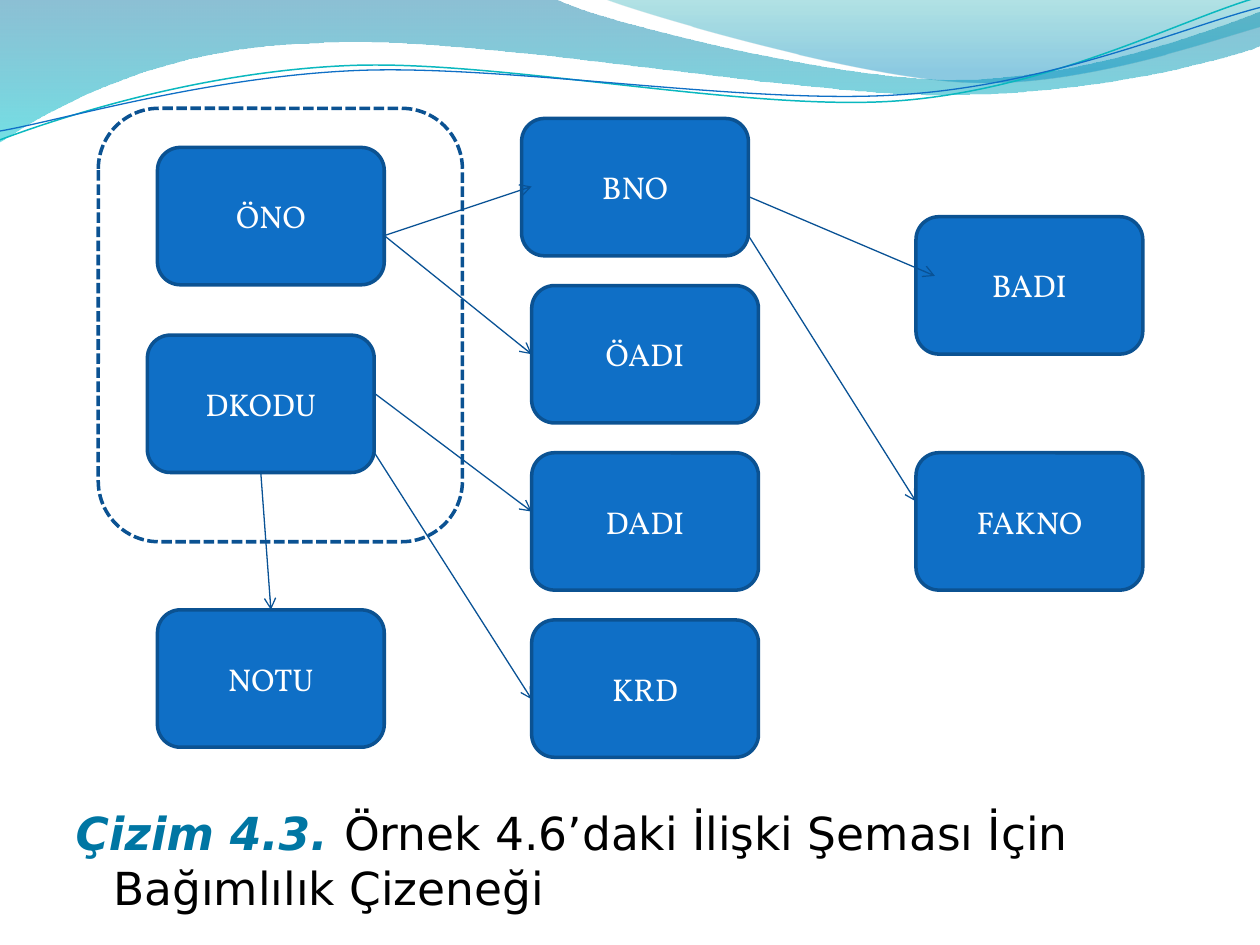
import math

import pptx
import pptx.dml.color
import pptx.enum.dml
import pptx.enum.shapes
import pptx.enum.text
import pptx.oxml
import pptx.oxml.ns
import pptx.util
from pptx.util import Inches

THEME = {
    "box": "0F6FC6", "border": "0B5292", "arrow": "095295", "box_text": "FFFFFF",
    "caption_label": "0076A3", "caption_text": "000000",
    "box_font": "Vollkorn", "caption_font": "DejaVu Sans",
    "box_size": 18, "caption_size": 26, "border_width": 2, "arrow_width": 0.75,
}

CAPTION_LABEL = "Çizim 4.3. "
CAPTION_TEXT = "Örnek 4.6’daki İlişki Şeması İçin Bağımlılık Çizeneği"
CAPTION_PLACE = (0.5, 6.34, 9, 1)

BOX_WIDTH, BOX_HEIGHT = 1.8, 1.09
LEFT_COLUMN, MIDDLE_COLUMN, RIGHT_COLUMN = 1.25, 4.22, 7.27
NUDGE = 0.08
MIDDLE_TOP = 0.94
MIDDLE_STEP = (4.92 - MIDDLE_TOP) / 3
DADI_TOP = MIDDLE_TOP + 2 * MIDDLE_STEP

ATTRIBUTES = {  # name: (left, top)
    "ÖNO": (LEFT_COLUMN, 1.17),
    "DKODU": (LEFT_COLUMN - NUDGE, 2.66),
    "KRD": (MIDDLE_COLUMN, MIDDLE_TOP + 3 * MIDDLE_STEP),
    "DADI": (MIDDLE_COLUMN, DADI_TOP),
    "ÖADI": (MIDDLE_COLUMN, MIDDLE_TOP + MIDDLE_STEP),
    "BNO": (MIDDLE_COLUMN - NUDGE, MIDDLE_TOP),
    "FAKNO": (RIGHT_COLUMN, DADI_TOP),
    "BADI": (RIGHT_COLUMN, 1.72),
    "NOTU": (LEFT_COLUMN, 4.84),
}
KEY_FRAME = (0.78, 0.86, 2.89, 3.44)

TOP, LEFT, BOTTOM = 0, 1, 2
# start point, end point, joined start and joined end as (attribute, side)
DEPENDENCIES = [
    ((3.05, 1.87), (4.22, 1.48), None, None),
    ((3.05, 1.87), (4.22, 2.81), None, ("ÖADI", LEFT)),
    ((2.97, 3.12), (4.22, 4.06), None, None),
    ((2.97, 3.59), (4.22, 5.55), None, None),
    ((2.07, 3.75), (2.15, 4.84), ("DKODU", BOTTOM), ("NOTU", TOP)),
    ((5.94, 1.56), (7.42, 2.19), None, None),
    ((5.94, 1.87), (7.27, 3.98), None, None),
]

# Each wave is a list of steps: one point is a straight line, three are a Bézier curve.
BANDS = [  # steps, gradient stops as (position, colour, opacity in percent)
    ([[(0, 0)], [(4.4, -0.01)],
      [(4.76, 0.17), (6.64, 0.63), (7.58, 0.63)],
      [(8.53, 0.63), (9.58, 0.26), (10, 0.09)], [(10.01, 0.36)],
      [(9.83, 0.44), (8.7, 0.76), (7.46, 0.75)],
      [(6.22, 0.75), (3.82, 0.28), (2.57, 0.34)],
      [(1.29, 0.36), (0.46, 0.83), (-0.01, 1.13)], [(0, 0)]],
     [(0, "0074A1", 45), (1, "00C6CF", 55)]),
    ([[(4.79, -0.01)],
      [(5.09, 0.11), (6.82, 0.62), (7.69, 0.65)],
      [(8.56, 0.69), (9.61, 0.32), (10, 0.21)], [(10, 0)], [(4.79, -0.01)]],
     [(0, "00A1A9", 30), (0.8, "008BBF", 45)]),
]
RIBBON_TILT = -2.7
RIBBONS = [  # steps, centre, colour, width
    ([[(0, 1.11)],
      [(0.48, 0.93), (1.58, 0.57), (2.77, 0.52)],
      [(3.95, 0.47), (5.93, 0.89), (7.13, 0.8)],
      [(8.33, 0.71), (9.38, 0.15), (9.98, -0.02)]], (4.99, 0.58), "0AB8BF", 0.85),
    ([[(0, 1.04)],
      [(0.47, 0.96), (1.64, 0.61), (2.83, 0.56)],
      [(4.03, 0.51), (5.97, 0.84), (7.17, 0.75)],
      [(8.36, 0.67), (9.41, 0.21), (10, 0.06)]], (5, 0.59), "0F6FC6", 0.75),
]


def rgb(colour):
    return pptx.dml.color.RGBColor.from_string(colour)


def new_xml(tag, **attributes):
    element = pptx.oxml.parse_xml(f"<{tag} {pptx.oxml.ns.nsdecls('a')}/>")
    for key, value in attributes.items():
        element.set(key, str(value))
    return element


def set_line(line, colour, width):
    line.color.rgb = rgb(colour)
    line.width = pptx.util.Pt(width)


def set_font(font, face, size, colour):
    font.name, font.size = face, pptx.util.Pt(size)
    font.color.rgb = rgb(colour)


def turn(point, centre, degrees):
    angle = math.radians(degrees)
    dx, dy = point[0] - centre[0], point[1] - centre[1]
    return (centre[0] + dx * math.cos(angle) - dy * math.sin(angle),
            centre[1] + dx * math.sin(angle) + dy * math.cos(angle))


def add_wave(shapes, steps, close):
    """Build the outline through all points, then merge each triple into one curve."""
    points = [(Inches(x), Inches(y)) for step in steps for x, y in step]
    builder = shapes.build_freeform(*points[0])
    builder.add_line_segments(points[1:], close=close)
    wave = builder.convert_to_shape()
    wave.shadow.inherit = False
    segments = iter(wave._element.spPr.findall(".//" + pptx.oxml.ns.qn("a:lnTo")))
    for step in steps[1:]:
        parts = [next(segments) for _ in step]
        if len(step) == 3:
            curve = new_xml("a:cubicBezTo")
            parts[0].addprevious(curve)
            for part in parts:
                curve.append(part[0])
                part.getparent().remove(part)
    return wave


def add_waves(slide):
    for steps, stops in BANDS:
        band = add_wave(slide.shapes, steps, True)
        band.line.fill.background()
        band.fill.gradient()
        band.fill.gradient_angle = 270
        for stop, (position, colour, _) in zip(band.fill.gradient_stops, stops):
            stop.position = position
            stop.color.rgb = rgb(colour)
        colours = band._element.spPr.findall(".//" + pptx.oxml.ns.qn("a:srgbClr"))
        for element, (_, _, opacity) in zip(colours, stops):
            element.append(new_xml("a:alpha", val=opacity * 1000))
    ribbons = slide.shapes.add_group_shape()
    for steps, centre, colour, width in RIBBONS:
        level = [[turn(point, centre, -RIBBON_TILT) for point in step] for step in steps]
        ribbon = add_wave(ribbons.shapes, level, False)
        ribbon.rotation = RIBBON_TILT
        ribbon.fill.background()
        set_line(ribbon.line, colour, width)


def add_rounded(slide, left, top, width, height):
    rounded = slide.shapes.add_shape(
        pptx.enum.shapes.MSO_SHAPE.ROUNDED_RECTANGLE,
        Inches(left), Inches(top), Inches(width), Inches(height))
    rounded.shadow.inherit = False
    set_line(rounded.line, THEME["border"], THEME["border_width"])
    return rounded


def add_attribute(slide, name, left, top):
    box = add_rounded(slide, left, top, BOX_WIDTH, BOX_HEIGHT)
    box.fill.solid()
    box.fill.fore_color.rgb = rgb(THEME["box"])
    box.text_frame.vertical_anchor = pptx.enum.text.MSO_ANCHOR.MIDDLE
    label = box.text_frame.paragraphs[0]
    label.text = name
    label.alignment = pptx.enum.text.PP_ALIGN.CENTER
    set_font(label.font, THEME["box_font"], THEME["box_size"], THEME["box_text"])
    return box


def add_dependency(slide, boxes, start, end, joined_start, joined_end):
    arrow = slide.shapes.add_connector(
        pptx.enum.shapes.MSO_CONNECTOR.STRAIGHT, *map(Inches, start + end))
    if joined_start:
        arrow.begin_connect(boxes[joined_start[0]], joined_start[1])
    if joined_end:
        arrow.end_connect(boxes[joined_end[0]], joined_end[1])
    set_line(arrow.line, THEME["arrow"], THEME["arrow_width"])
    arrow.line._get_or_add_ln().append(new_xml("a:tailEnd", type="arrow"))
    arrow._element.spPr.append(new_xml("a:effectLst"))


def fill_caption(caption):
    caption.left, caption.top, caption.width, caption.height = map(Inches, CAPTION_PLACE)
    frame = caption.text_frame
    frame.word_wrap = True
    frame.auto_size = pptx.enum.text.MSO_AUTO_SIZE.NONE
    paragraph = frame.paragraphs[0]
    paragraph.space_before = pptx.util.Pt(0)
    properties = paragraph._p.get_or_add_pPr()
    properties.set("marL", str(Inches(0.3)))
    properties.set("indent", str(Inches(-0.3)))
    properties.append(new_xml("a:buNone"))
    for text, colour, strong in ((CAPTION_LABEL, THEME["caption_label"], True),
                                 (CAPTION_TEXT, THEME["caption_text"], False)):
        run = paragraph.add_run()
        run.text = text
        set_font(run.font, THEME["caption_font"], THEME["caption_size"], colour)
        run.font.bold = run.font.italic = strong


def main():
    deck = pptx.Presentation()
    deck.slide_width, deck.slide_height = Inches(10), Inches(7.5)
    slide = deck.slides.add_slide(deck.slide_layouts.get_by_name("Title and Content"))
    unused_title = slide.shapes.title._element
    unused_title.getparent().remove(unused_title)
    caption = slide.placeholders[1]
    fill_caption(caption)
    add_waves(slide)
    slide.shapes._spTree.append(caption._element)  # in front of the waves
    boxes = {name: add_attribute(slide, name, *place) for name, place in ATTRIBUTES.items()}
    key_frame = add_rounded(slide, *KEY_FRAME)
    key_frame.fill.background()
    key_frame.line.dash_style = pptx.enum.dml.MSO_LINE.SQUARE_DOT
    for dependency in DEPENDENCIES:
        add_dependency(slide, boxes, *dependency)
    deck.save("out.pptx")


if __name__ == "__main__":
    main()
